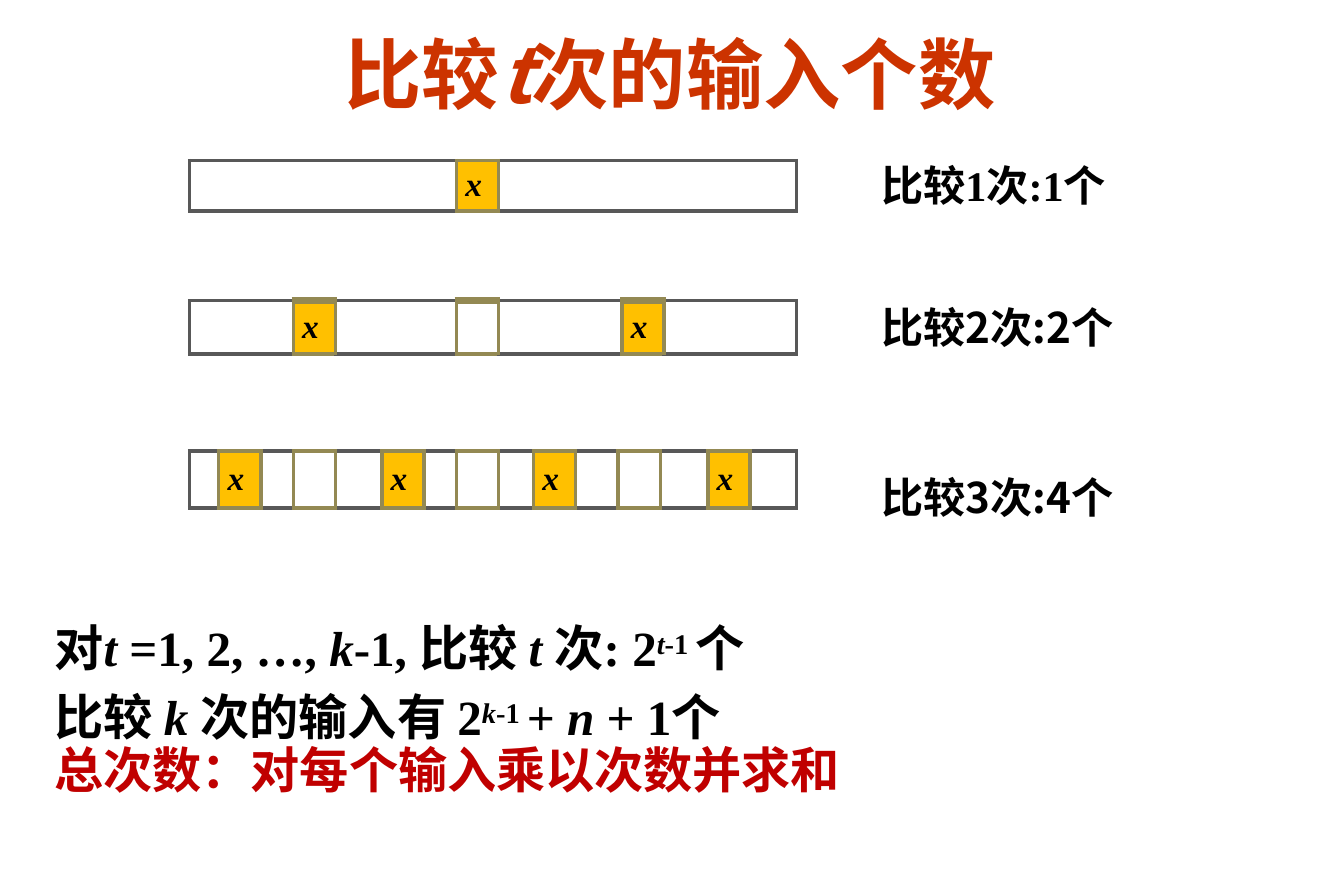
from lxml.etree import SubElement
from pptx import Presentation
from pptx.dml.color import RGBColor
from pptx.enum.text import MSO_ANCHOR as Anchor, PP_ALIGN as Align
from pptx.oxml.ns import qn
from pptx.util import Inches, Pt

HAN, ROMAN = "Noto Sans CJK SC", "Times New Roman"
BLACK, TITLE_RED, SUM_RED = "000000", "CC3300", "C00000"
GREY, OLIVE, AMBER = "585858", "938953", "FFC000"
WIDTH, HEIGHT = Inches(10.63), Inches(7.09)
SLOT = 6.95

BARS = [
    ((14.11, 17.91, 45.16, 5.64), [43.96], "x", (2.25, 2.25)),
    ((14.11, 33.57, 45.16, 5.92), [17.08, 43.96, 71.25], "x x", (4.25, 2.25)),
    ((14.11, 50.35, 45.16, 6.35),
     [4.79, 17.08, 31.67, 43.96, 56.67, 70.63, 85.42], "x x x x", (3, 3)),
]
LABELS = [
    (17.77, [("比较", HAN), ("1", ROMAN), ("次", HAN), (":1", ROMAN), ("个", HAN)]),
    (33.57, [("比较2次:2个", HAN)]),
    (52.61, [("比较3次:4个", HAN)]),
]
FORMULAS = [
    [("对", HAN), ("t ", ROMAN, True), ("=1, 2, …, ", ROMAN), ("k", ROMAN, True),
     ("-1, ", ROMAN), ("比较 ", HAN), ("t ", ROMAN, True), ("次", HAN),
     (": 2", ROMAN), ("t", ROMAN, True, True), ("-1 ", ROMAN, False, True),
     ("个", HAN)],
    [("比较 ", HAN), ("k ", ROMAN, True), ("次的输入有 ", HAN), ("2", ROMAN),
     ("k", ROMAN, True, True), ("-1 ", ROMAN, False, True), ("+ ", ROMAN),
     ("n ", ROMAN, True), ("+ 1", ROMAN), ("个", HAN)],
]


def color(hex_code):
    """Turn a hex string into a colour."""
    return RGBColor.from_string(hex_code)


def area(left, top, width, height):
    """Turn percentages of the slide into a box."""
    return [round(share * side / 100) for share, side in
            zip((left, top, width, height), (WIDTH, HEIGHT) * 2)]


def add_run(paragraph, size, hex_code, text, face, italic=False, raised=False):
    """Add one bold run in the given face."""
    run = paragraph.add_run()
    run.text = text
    font = run.font
    font.size, font.bold, font.italic, font.name = Pt(size), True, italic, face
    font.color.rgb = color(hex_code)
    properties = run._r.get_or_add_rPr()
    SubElement(properties, qn("a:ea")).set("typeface", HAN)
    if raised:
        properties.set("baseline", "26000")


def clear_insets(holder):
    """Remove the inner margins of a text frame or cell."""
    holder.margin_left = holder.margin_right = 0
    holder.margin_top = holder.margin_bottom = 0


def add_title(slide, box):
    """Fill and place the title placeholder."""
    title = slide.shapes.title
    title.left, title.top, title.width, title.height = box
    frame = title.text_frame
    clear_insets(frame)
    frame.vertical_anchor = Anchor.MIDDLE
    heading = frame.paragraphs[0]
    heading.alignment, heading.line_spacing = Align.CENTER, 0.9
    for part in [("比较", HAN), ("t", HAN, True), ("次的输入个数", HAN)]:
        add_run(heading, 44, TITLE_RED, *part)


def add_lines(slide, box, lines, size, pitch, hex_code=BLACK):
    """Write lines of runs at a fixed line pitch."""
    frame = slide.shapes.add_textbox(*box).text_frame
    frame.word_wrap = True
    clear_insets(frame)
    for number, parts in enumerate(lines):
        line = frame.add_paragraph() if number else frame.paragraphs[0]
        line.line_spacing = Pt(pitch)
        for part in parts:
            add_run(line, size, hex_code, *part)


def add_border(cell, side, hex_code, width):
    """Draw one side of a cell."""
    edge = SubElement(cell._tc.get_or_add_tcPr(), qn(f"a:ln{side}"),
                      w=str(int(Pt(width))))
    SubElement(SubElement(edge, qn("a:solidFill")), qn("a:srgbClr"), val=hex_code)


def add_bar(slide, box, starts, marks, slot_edges):
    """Draw an array bar whose slots begin at the given percentages."""
    stops = [0, *(stop for start in starts for stop in (start, start + SLOT)), 100]
    last = len(stops) - 2
    bar = slide.shapes.add_table(1, last + 1, *box).table
    bar.first_row = bar.horz_banding = False
    bar.rows[0].height = box[3]
    for column, (start, stop) in enumerate(zip(stops, stops[1:])):
        bar.columns[column].width = round((stop - start) * box[2] / 100)
        cell = bar.cell(0, column)
        clear_insets(cell)
        cell.vertical_anchor = Anchor.MIDDLE
        is_slot = column % 2 == 1
        rim = OLIVE if is_slot else GREY
        top, bottom = slot_edges if is_slot else (2.25, 2.25)
        add_border(cell, "L", OLIVE if column else GREY, 2.25)
        add_border(cell, "R", OLIVE if column < last else GREY, 2.25)
        add_border(cell, "T", rim, top)
        add_border(cell, "B", rim, bottom)
        if is_slot and marks[column // 2] == "x":
            cell.fill.solid()
            cell.fill.fore_color.rgb = color(AMBER)
            cell.margin_left = Inches(0.07)
            add_run(cell.text_frame.paragraphs[0], 19, BLACK, "x", ROMAN, True)
        else:
            cell.fill.background()


def main():
    """Build and save the slide."""
    deck = Presentation()
    deck.slide_width, deck.slide_height = WIDTH, HEIGHT
    slide = deck.slides.add_slide(deck.slide_layouts[5])
    add_title(slide, area(3.95, 3.95, 91.82, 9.59))
    for box, starts, marks, slot_edges in BARS:
        add_bar(slide, area(*box), starts, marks, slot_edges)
    for top, label in LABELS:
        add_lines(slide, area(65.57, top, 23.71, 5.92), [label], 24, 29)
    add_lines(slide, area(4.05, 67.84, 88.9, 15.4), FORMULAS, 28, 39.3)
    add_lines(slide, area(4.05, 84.06, 88.81, 5.36),
              [[("总次数：对每个输入乘以次数并求和", HAN)]], 28, 25.5, SUM_RED)
    deck.save("out.pptx")


if __name__ == "__main__":
    main()
